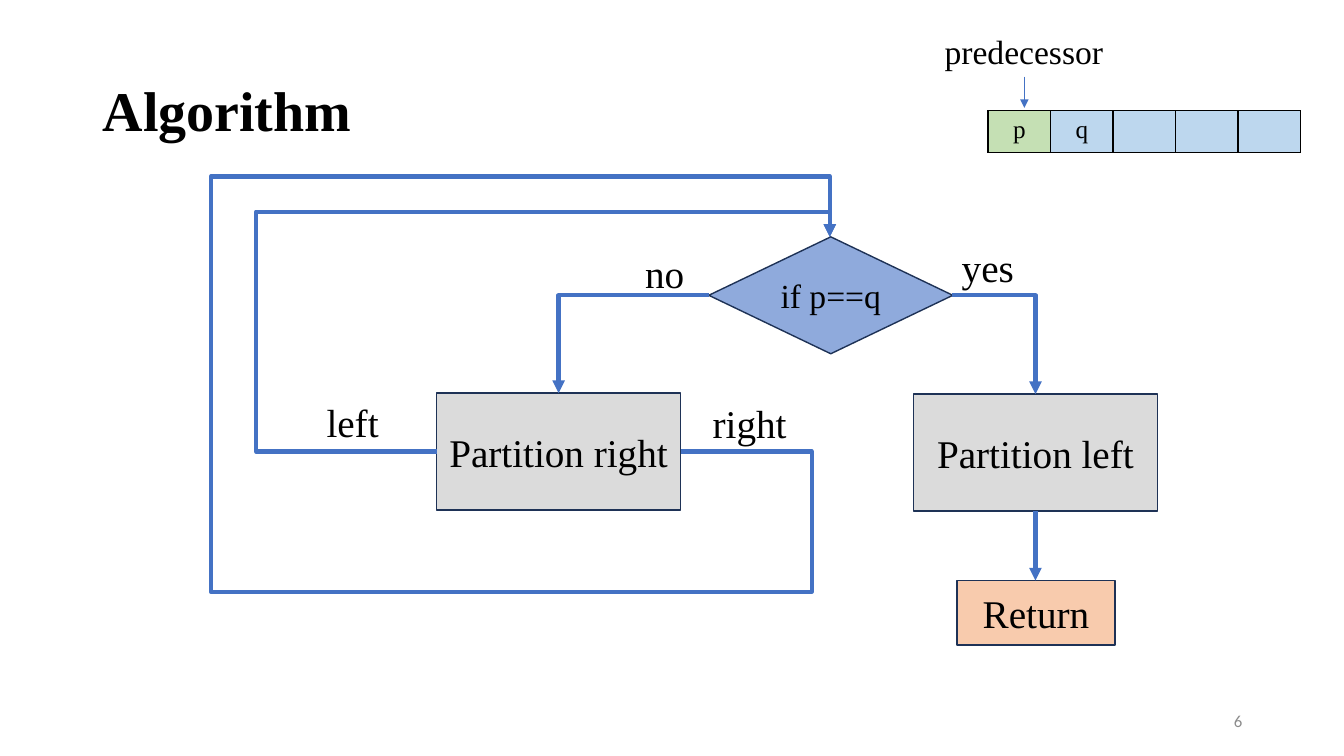
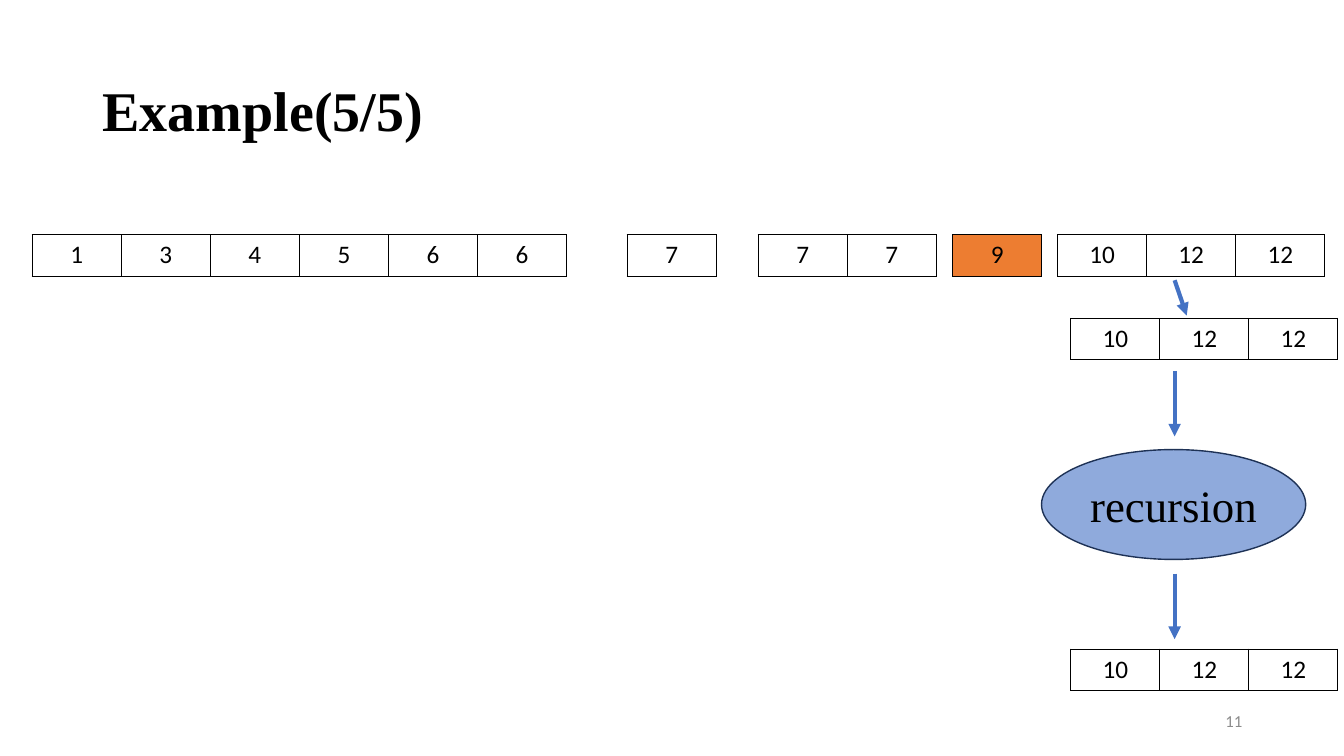
from lxml import etree
from pptx import Presentation
from pptx.dml.color import RGBColor
from pptx.enum.shapes import MSO_CONNECTOR, MSO_SHAPE
from pptx.enum.text import MSO_ANCHOR, PP_ALIGN
from pptx.oxml import parse_xml
from pptx.oxml.ns import nsdecls, qn
from pptx.util import Inches, Pt

COLORS = {
    "text": "000000",
    "number": "8C8C8C",
    "arrow": "4472C4",
    "outline": "1E3256",
    "blue": "8FAADC",
    "gray": "DBDBDB",
    "peach": "F8CBAD",
    "green": "C5E0B4",
    "sky": "BDD7EE",
    "orange": "ED7D31",
}
SERIF = "Times New Roman"
SANS = "Calibri"
FORMATS = {
    "title": {"name": SERIF, "size": Pt(40), "bold": True},
    "number": {"name": SANS, "size": Pt(12)},
    "huge": {"name": SERIF, "size": Pt(32)},
    "large": {"name": SERIF, "size": Pt(28)},
    "medium": {"name": SERIF, "size": Pt(24)},
    "letter": {"name": SERIF, "size": Pt(18)},
    "value": {"name": SANS, "size": Pt(18)},
}


def write(text_frame, text, format_name, alignment=PP_ALIGN.CENTER, color="text"):
    paragraph = text_frame.paragraphs[0]
    paragraph.alignment = alignment
    run = paragraph.add_run()
    run.text = text
    for attribute, value in FORMATS[format_name].items():
        setattr(run.font, attribute, value)
    run.font.color.rgb = RGBColor.from_string(COLORS[color])


def style_arrow(shape, width):
    shape.line.color.rgb = RGBColor.from_string(COLORS["arrow"])
    shape.line.width = Pt(width)
    properties = shape._element.spPr
    etree.SubElement(properties.find(qn("a:ln")), qn("a:tailEnd"), type="triangle")
    etree.SubElement(properties, qn("a:effectLst"))


presentation = Presentation()
presentation.slide_width = Inches(13.33)
presentation.slide_height = Inches(7.5)

slides = []
for title, number in [("Algorithm", "6"), ("Example(5/5)", "11")]:
    slide = presentation.slides.add_slide(presentation.slide_layouts[6])
    slides.append(slide)
    title_box = slide.shapes.add_textbox(Inches(0.92), Inches(0.4), Inches(11.5), Inches(1.45))
    write(title_box.text_frame, title, "title", PP_ALIGN.LEFT)
    title_box.text_frame.paragraphs[0].line_spacing = 0.9
    number_box = slide.shapes.add_textbox(Inches(9.42), Inches(6.95), Inches(3), Inches(0.4))
    write(number_box.text_frame, number, "number", PP_ALIGN.RIGHT, "number")
    for box in (title_box, number_box):
        box.text_frame.word_wrap = True
        box.text_frame.vertical_anchor = MSO_ANCHOR.MIDDLE
algorithm, example = slides

nodes = [
    (algorithm, MSO_SHAPE.FLOWCHART_DECISION, 7.03, 2.35, 2.42, 1.16, "blue", "if p==q", "medium"),
    (algorithm, MSO_SHAPE.RECTANGLE, 4.33, 3.9, 2.42, 1.16, "gray", "Partition right", "large"),
    (algorithm, MSO_SHAPE.RECTANGLE, 9.06, 3.91, 2.42, 1.16, "gray", "Partition left", "large"),
    (algorithm, MSO_SHAPE.RECTANGLE, 9.49, 5.76, 1.57, 0.64, "peach", "Return", "large"),
    (example, MSO_SHAPE.OVAL, 10.33, 4.46, 2.62, 1.09, "blue", "recursion", "huge"),
]
for slide, kind, left, top, width, height, fill, text, format_name in nodes:
    node = slide.shapes.add_shape(kind, Inches(left), Inches(top), Inches(width), Inches(height))
    node.shadow.inherit = False
    node.fill.solid()
    node.fill.fore_color.rgb = RGBColor.from_string(COLORS[fill])
    node.line.color.rgb = RGBColor.from_string(COLORS["outline"])
    node.line.width = Pt(1)
    node.text_frame.word_wrap = False
    node.text_frame.vertical_anchor = MSO_ANCHOR.MIDDLE
    write(node.text_frame, text, format_name)

routes = [
    [(9.44, 2.93), (10.27, 2.93), (10.27, 3.91)],
    [(7.03, 2.93), (5.54, 2.93), (5.54, 3.9)],
    [(4.33, 4.48), (2.54, 4.48), (2.54, 2.1), (8.23, 2.1), (8.23, 2.35)],
    [(6.75, 4.48), (8.05, 4.48), (8.05, 5.87), (2.09, 5.87), (2.09, 1.75), (8.23, 1.75), (8.23, 2.35)],
]
for points in routes:
    start, *corners = [(Inches(x), Inches(y)) for x, y in points]
    builder = algorithm.shapes.build_freeform(*start)
    builder.add_line_segments(corners, close=False)
    route = builder.convert_to_shape()
    route.fill.background()
    style_arrow(route, 3)

arrows = [
    (algorithm, 10.27, 5.07, 10.27, 5.76, 3),
    (algorithm, 10.16, 0.76, 10.16, 1.07, 0.5),
    (example, 11.65, 2.78, 11.77, 3.13, 3),
    (example, 11.65, 3.68, 11.65, 4.33, 3),
    (example, 11.65, 5.69, 11.65, 6.34, 3),
]
for slide, *ends, width in arrows:
    arrow = slide.shapes.add_connector(MSO_CONNECTOR.STRAIGHT, *map(Inches, ends))
    style_arrow(arrow, width)

labels = [
    ("yes", 9.44, 2.36, 0.72, 0.57, "large"),
    ("no", 6.3, 2.42, 0.62, 0.57, "large"),
    ("left", 3.14, 3.9, 0.72, 0.57, "large"),
    ("right", 6.97, 3.91, 0.94, 0.57, "large"),
    ("predecessor", 9.27, 0.26, 1.79, 0.5, "medium"),
]
for text, left, top, width, height, format_name in labels:
    label = algorithm.shapes.add_textbox(Inches(left), Inches(top), Inches(width), Inches(height))
    label.text_frame.word_wrap = False
    write(label.text_frame, text, format_name, PP_ALIGN.LEFT)

value_width = 2.65 / 3
last_values = ["10", "12", "12"]
arrays = [
    (algorithm, 9.8, 1.1, 0.62, "letter", ["p", "q", "", "", ""], ["green"] + ["sky"] * 4),
    (example, 0.32, 2.33, value_width, "value", ["1", "3", "4", "5", "6", "6"], [None] * 6),
    (example, 6.22, 2.33, value_width, "value", ["7"], [None]),
    (example, 7.52, 2.33, value_width, "value", ["7", "7"], [None] * 2),
    (example, 9.45, 2.33, value_width, "value", ["9"], ["orange"]),
    (example, 10.49, 2.33, value_width, "value", last_values, [None] * 3),
    (example, 10.62, 3.16, value_width, "value", last_values, [None] * 3),
    (example, 10.62, 6.44, value_width, "value", last_values, [None] * 3),
]
for slide, left, top, cell_width, format_name, texts, fills in arrays:
    table = slide.shapes.add_table(
        1, len(texts), Inches(left), Inches(top), Inches(cell_width * len(texts)), Inches(0.41)
    ).table
    table.first_row = False
    table.horz_banding = False
    for column, text, fill in zip(range(len(texts)), texts, fills):
        table.columns[column].width = Inches(cell_width)
        cell = table.cell(0, column)
        for side in ("lnL", "lnR", "lnT", "lnB"):
            cell._tc.get_or_add_tcPr().append(parse_xml(
                f'<a:{side} {nsdecls("a")} w="12700"><a:solidFill>'
                f'<a:srgbClr val="{COLORS["text"]}"/></a:solidFill></a:{side}>'
            ))
        if fill:
            cell.fill.solid()
            cell.fill.fore_color.rgb = RGBColor.from_string(COLORS[fill])
        else:
            cell.fill.background()
        if text:
            write(cell.text_frame, text, format_name)

presentation.save("out.pptx")
